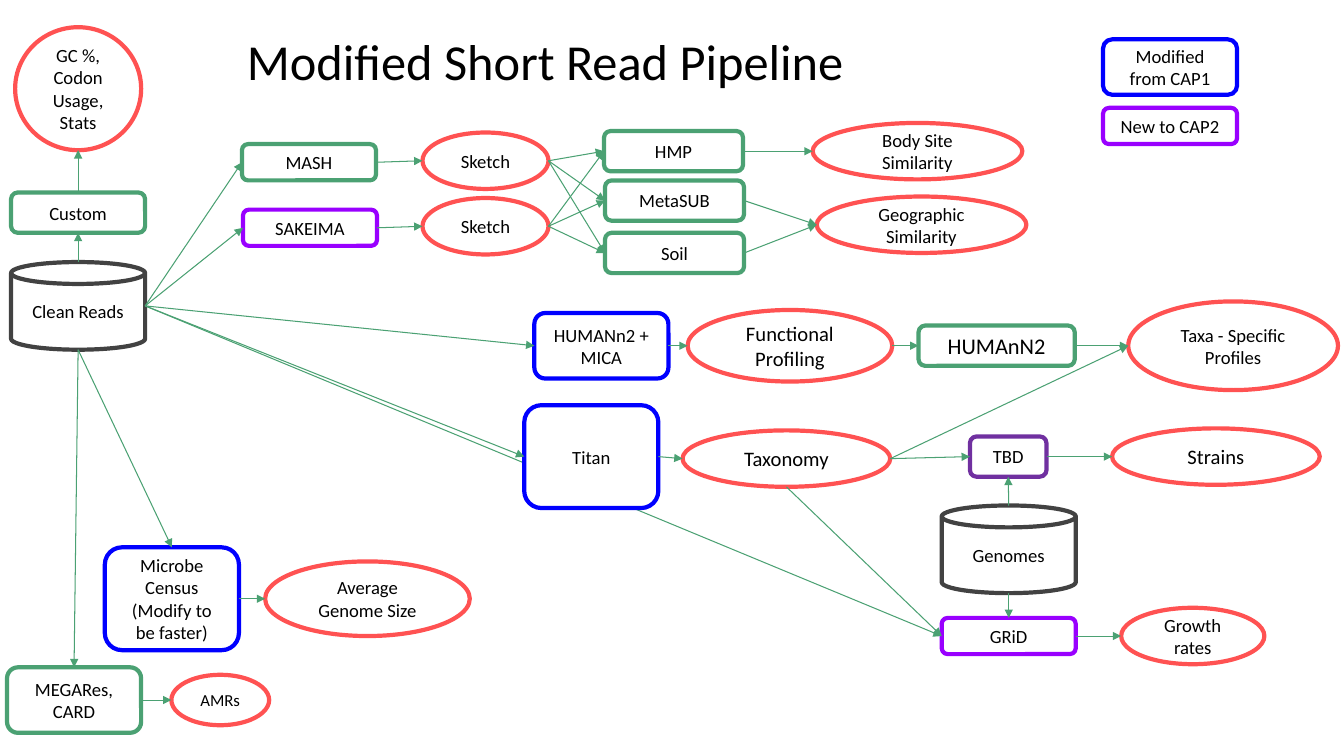
"""Build the short read pipeline slide on a grid of tenth-inch cells."""
from collections import namedtuple
from itertools import product

from lxml import etree
from pptx import Presentation
from pptx import util as u
from pptx.dml.color import RGBColor
from pptx.enum import shapes, text
from pptx.oxml import ns

CELL = u.Inches(0.1)
FONT = "Calibri"
BLACK = RGBColor(0x00, 0x00, 0x00)
WHITE = RGBColor(0xFF, 0xFF, 0xFF)
GREEN = RGBColor(0x4B, 0xA1, 0x73)
RED = RGBColor(0xFF, 0x52, 0x52)
BLUE = RGBColor(0x00, 0x00, 0xFF)
PURPLE = RGBColor(0x99, 0x00, 0xFF)
VIOLET = RGBColor(0x70, 0x30, 0xA0)
GRAY = RGBColor(0x42, 0x42, 0x42)

Box = namedtuple("Box", "left top width height")
Kind = namedtuple("Kind", "preset colour")
STEP_PRESET = shapes.MSO_SHAPE.ROUNDED_RECTANGLE
TOOL = Kind(STEP_PRESET, GREEN)
MODIFIED = Kind(STEP_PRESET, BLUE)
NEW = Kind(STEP_PRESET, PURPLE)
UNDECIDED = Kind(STEP_PRESET, VIOLET)
RESULT = Kind(shapes.MSO_SHAPE.OVAL, RED)
STORE = Kind(shapes.MSO_SHAPE.CAN, GRAY)

TOP, LEFT, BOTTOM, RIGHT = range(4)
STEP_WIDTH = 13.3
SLIM, MEDIUM, TALL, HUGE = 3.6, 4.0, 6.5, 10.2
STORE_HEIGHT = 8.7
OVAL_HEIGHT = 5.6


def cells(count):
    """Turn a number of grid cells into a length."""
    return u.Emu(round(count * CELL))


def write(frame, label, size):
    """Put one run of black text into a text frame."""
    frame.word_wrap = True
    run = frame.paragraphs[0].add_run()
    run.text = label
    run.font.size = u.Pt(size)
    run.font.name = FONT
    run.font.color.rgb = BLACK


def node(slide, box, kind, label, left, middle, width, height, size=13.3):
    """Draw a pipeline node at a left edge and middle height within a box."""
    shape = slide.shapes.add_shape(
        kind.preset, cells(box.left + left), cells(box.top + middle - height / 2),
        cells(width), cells(height))
    shape.shadow.inherit = False
    shape.fill.background()
    shape.line.color.rgb = kind.colour
    shape.line.width = u.Pt(3)
    frame = shape.text_frame
    frame.vertical_anchor = text.MSO_ANCHOR.MIDDLE
    frame.margin_left = frame.margin_right = u.Inches(0.13)
    frame.margin_top = frame.margin_bottom = u.Inches(0.13)
    write(frame, label, size)
    frame.paragraphs[0].alignment = text.PP_ALIGN.CENTER
    return shape


def side_point(shape, side):
    """Return the middle of one side of a shape."""
    centre_x = shape.left + shape.width // 2
    centre_y = shape.top + shape.height // 2
    return {TOP: (centre_x, shape.top),
            LEFT: (shape.left, centre_y),
            BOTTOM: (centre_x, shape.top + shape.height),
            RIGHT: (shape.left + shape.width, centre_y)}[side]


def link(slide, source, target, source_side=RIGHT, target_side=LEFT):
    """Draw an arrow between two nodes, joined where a node is a rectangle."""
    arrow = slide.shapes.add_connector(
        shapes.MSO_CONNECTOR.STRAIGHT,
        *side_point(source, source_side), *side_point(target, target_side))
    if source.auto_shape_type == STEP_PRESET:
        arrow.begin_connect(source, source_side)
    if target.auto_shape_type == STEP_PRESET:
        arrow.end_connect(target, target_side)
    arrow.line.color.rgb = GREEN
    arrow.line.width = u.Pt(0.75)
    outline = arrow.line._get_or_add_ln()
    etree.SubElement(outline, ns.qn("a:tailEnd"), type="triangle")
    etree.SubElement(arrow._element.spPr, ns.qn("a:effectLst"))


def chain(slide, *nodes):
    """Link each node to the next one from left to right."""
    for source, target in zip(nodes, nodes[1:]):
        link(slide, source, target)


def draw_title(slide, box):
    """Write the slide title."""
    title = slide.shapes.add_textbox(*map(cells, box))
    write(title.text_frame, "Modified Short Read Pipeline", 36)


def draw_legend(slide, box):
    """Draw the key to the outline colours."""
    node(slide, box, MODIFIED, "Modified from CAP1", 0, 2.75, box.width, 5.5)
    node(slide, box, NEW, "New to CAP2", 0, box.height - SLIM / 2, box.width, SLIM)


def draw_reads(slide, box):
    """Draw the column from the clean reads up to their statistics."""
    reads = node(slide, box, STORE, "Clean Reads", 0,
                 box.height - STORE_HEIGHT / 2, box.width, STORE_HEIGHT)
    custom = node(slide, box, TOOL, "Custom", 0, 18.4, box.width, MEDIUM)
    stats = node(slide, box, RESULT, "GC %, Codon Usage, Stats",
                 (box.width - 12.5) / 2, 6.1, 12.5, 12.2)
    link(slide, reads, custom, TOP, BOTTOM)
    link(slide, custom, stats, TOP, BOTTOM)
    return reads


def draw_resistance(slide, box, reads):
    """Draw the resistance gene branch."""
    middle = box.height / 2
    genes = node(slide, box, TOOL, "MEGARes, CARD", 0, middle, STEP_WIDTH, TALL)
    amrs = node(slide, box, RESULT, "AMRs", 16.3, middle, 9.7, 5, 12)
    link(slide, reads, genes, BOTTOM, TOP)
    chain(slide, genes, amrs)


def draw_census(slide, box, reads):
    """Draw the genome size branch."""
    middle = box.height / 2
    census = node(slide, box, MODIFIED, "Microbe Census (Modify to be faster)",
                  0, middle, STEP_WIDTH, HUGE)
    genome_size = node(slide, box, RESULT, "Average Genome Size",
                       15.9, middle, 20.3, 7.4)
    link(slide, reads, census, BOTTOM, TOP)
    chain(slide, census, genome_size)


def draw_sketches(slide, box, reads):
    """Draw the sketch comparison branch."""
    sketches = []
    for kind, label, left, middle in ((TOOL, "MASH", 0, 3.9), (NEW, "SAKEIMA", 0.1, 10.4)):
        sketcher = node(slide, box, kind, label, left, middle, STEP_WIDTH, SLIM)
        sketch = node(slide, box, RESULT, "Sketch", 17.9, middle - 0.15, 12.5, OVAL_HEIGHT)
        chain(slide, reads, sketcher, sketch)
        sketches.append(sketch)
    hmp, metasub, soil = references = [
        node(slide, box, TOOL, label, left, middle, 13.8, MEDIUM)
        for label, left, middle in (
            ("HMP", 35.9, 2.8), ("MetaSUB", 36, 7.7), ("Soil", 36, 12.9))]
    body_site = node(slide, box, RESULT, "Body Site Similarity", 56.6, 2.8, 20.8, OVAL_HEIGHT)
    geography = node(slide, box, RESULT, "Geographic Similarity", 57, 10.1, 20.8, OVAL_HEIGHT)
    comparisons = [(hmp, body_site), (metasub, geography), (soil, geography)]
    for source, target in [*product(sketches, references), *comparisons]:
        link(slide, source, target)


def draw_functions(slide, box, reads):
    """Draw the functional profiling branch and return its last result."""
    middle = box.height / 2
    mica = node(slide, box, MODIFIED, "HUMANn2 + MICA", 0, middle, STEP_WIDTH, TALL)
    profiling = node(slide, box, RESULT, "Functional Profiling", 15.2, middle, 20.3, 7.1, 14.7)
    humann = node(slide, box, TOOL, "HUMAnN2", 38.1, middle, 15.5, MEDIUM, 16)
    profiles = node(slide, box, RESULT, "Taxa - Specific Profiles", 58.9, middle, 20.8, 8.8)
    chain(slide, reads, mica, profiling, humann, profiles)
    return profiles


def draw_taxonomy(slide, box, reads, profiles):
    """Draw the taxonomy branch with its strains and growth rates."""
    middle, low = HUGE / 2, 22.9
    grid = node(slide, box, NEW, "GRiD", 41.4, low, STEP_WIDTH, SLIM)
    link(slide, reads, grid)
    titan = node(slide, box, MODIFIED, "Titan", 0, middle, STEP_WIDTH, HUGE)
    titan.fill.solid()
    titan.fill.fore_color.rgb = WHITE
    taxonomy = node(slide, box, RESULT, "Taxonomy", 15.7, middle + 0.2, 20.6, OVAL_HEIGHT, 14.7)
    undecided = node(slide, box, UNDECIDED, "TBD", 44.2, middle, 7.6, MEDIUM)
    strains = node(slide, box, RESULT, "Strains", 58.3, middle, 20.6, OVAL_HEIGHT, 14.7)
    genomes = node(slide, box, STORE, "Genomes", 41.4, 14.3, STEP_WIDTH, STORE_HEIGHT)
    growth = node(slide, box, RESULT, "Growth rates", 59.2, low, 14.2, OVAL_HEIGHT)
    chain(slide, reads, titan, taxonomy, undecided, strains)
    chain(slide, grid, growth)
    link(slide, taxonomy, profiles)
    link(slide, taxonomy, grid, BOTTOM)
    link(slide, genomes, undecided, TOP, BOTTOM)
    link(slide, genomes, grid, BOTTOM, TOP)


def main():
    """Build and save the slide."""
    deck = Presentation()
    deck.slide_width, deck.slide_height = u.Inches(13.33), u.Inches(7.5)
    slide = deck.slides.add_slide(deck.slide_layouts[6])
    draw_title(slide, Box(23.5, 2.5, 105.8, 7.1))
    draw_legend(slide, Box(109.4, 3.9, STEP_WIDTH, 10.4))
    reads = draw_reads(slide, Box(1.1, 2.7, STEP_WIDTH, 32))
    draw_resistance(slide, Box(0.7, 66.2, 26, TALL), reads)
    draw_census(slide, Box(10.4, 54.3, 36.2, HUGE), reads)
    draw_sketches(slide, Box(24, 12.2, 77.8, 14.9), reads)
    profiles = draw_functions(slide, Box(53, 29.9, 79.7, 8.8), reads)
    draw_taxonomy(slide, Box(52, 40.2, 78.9, 25.7), reads, profiles)
    deck.save("out.pptx")


if __name__ == "__main__":
    main()
